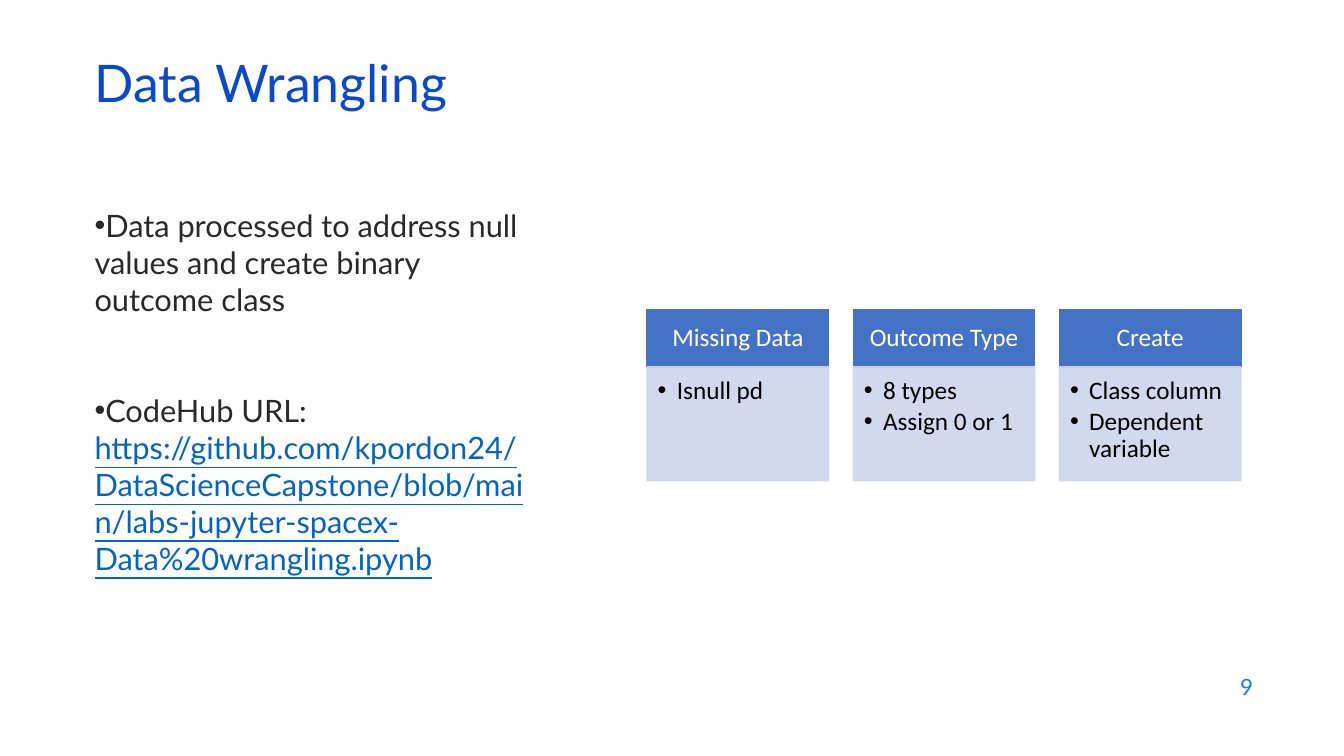
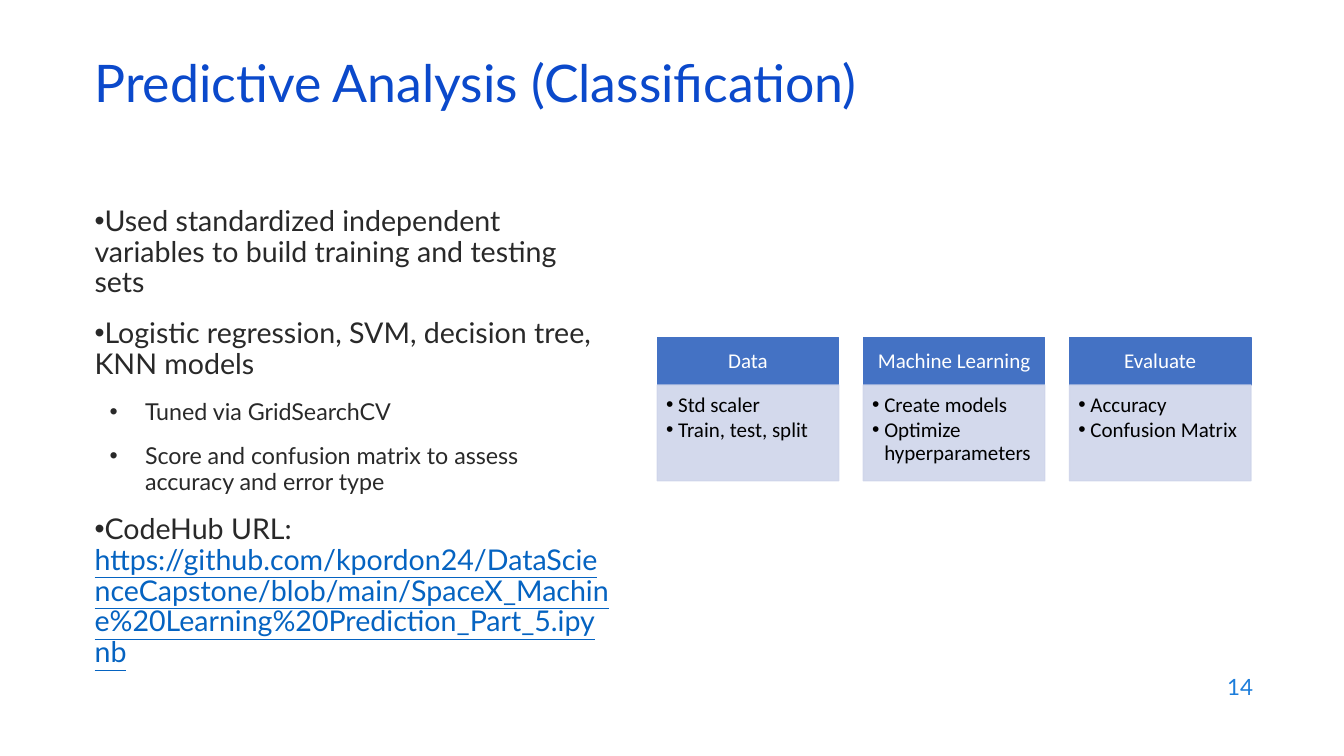
from dataclasses import dataclass

from lxml import etree
from pptx import Presentation
from pptx import util as u
from pptx.dml.color import RGBColor
from pptx.enum import shapes, text
from pptx.oxml.ns import qn


@dataclass(frozen=True)
class Theme:
    """Colours, fonts, type sizes and the grid of the deck."""
    width: float = 13.33
    height: float = 7.5
    columns: int = 80
    rows: int = 45
    prose_font: str = "Lato"
    card_font: str = "Calibri"
    bullet_font: str = "Arial"
    title: str = "0B49CB"
    prose: str = "292929"
    link: str = "0563C1"
    number: str = "1C7DDB"
    header: str = "4472C4"
    header_text: str = "FFFFFF"
    panel: str = "CFD5EA"
    panel_text: str = "000000"
    panel_opacity: int = 90
    title_size: float = 37
    number_size: float = 16
    header_padding: tuple = (0.56, 0.32, 0.56, 0.32)
    panel_padding: tuple = (0.42, 0.42, 0.56, 0.64)


class Deck:
    """Holds the style and the current slide, and draws each kind of element."""

    def __init__(self, theme):
        """Start an empty presentation in the given theme."""
        self.theme = theme
        self.show = Presentation()
        self.show.slide_width = u.Inches(theme.width)
        self.show.slide_height = u.Inches(theme.height)
        self.slide = None

    def place(self, column, row, wide, high):
        """Turn grid columns and rows into slide lengths."""
        across = self.show.slide_width / self.theme.columns
        down = self.show.slide_height / self.theme.rows
        return [round(n) for n in (column * across, row * down, wide * across, high * down)]

    def page(self, title, number):
        """Add a slide with its title and page number."""
        t = self.theme
        self.slide = self.show.slides.add_slide(self.show.slide_layouts[6])
        heading = self.box((5.04, 3.54, 69, 3.6), text.MSO_ANCHOR.MIDDLE)
        self.line(heading, [(title, t.title)], t.title_size, spacing=0.7)
        corner = self.box((57.18, 39.54, 18, 2.64), text.MSO_ANCHOR.MIDDLE)
        self.line(corner, [(str(number), t.number)], t.number_size, align=text.PP_ALIGN.RIGHT)

    def box(self, area, anchor=text.MSO_ANCHOR.TOP):
        """Add a wrapping text box and return its text frame."""
        frame = self.slide.shapes.add_textbox(*self.place(*area)).text_frame
        frame.word_wrap = True
        frame.vertical_anchor = anchor
        return frame

    def line(self, frame, runs, size, font=None, spacing=1.0, before=0, after=0,
             align=text.PP_ALIGN.LEFT, bullet=False, margin=0, hang=0):
        """Add one paragraph, run by run; the first has no space before."""
        first = not frame.paragraphs[0].runs
        paragraph = frame.paragraphs[0] if first else frame.add_paragraph()
        paragraph.alignment = align
        paragraph.line_spacing = spacing
        paragraph.space_before = u.Pt(0 if first else before)
        paragraph.space_after = u.Pt(after)
        if bullet:
            self.bullet(paragraph, margin, hang)
        for words, colour in runs:
            run = paragraph.add_run()
            run.text = words
            run.font.size = u.Pt(size)
            run.font.name = font or self.theme.prose_font
            run.font.color.rgb = RGBColor.from_string(colour)
            if colour == self.theme.link:
                run.font.underline = True

    def bullet(self, paragraph, margin, hang):
        """Give a paragraph a round bullet with a hanging indent in inches."""
        properties = paragraph._p.get_or_add_pPr()
        properties.set("marL", str(u.Inches(margin)))
        properties.set("indent", str(-u.Inches(hang)))
        etree.SubElement(properties, qn("a:buFont"), typeface=self.theme.bullet_font)
        etree.SubElement(properties, qn("a:buChar"), char="•")

    def prose(self, wide, entries, sizes, spacing, before):
        """Set the bulleted body text; each entry is a level and its runs."""
        frame = self.box((5.04, 12, wide, 28.56))
        indents = [(0, 0), (0.5, 0.35)]
        for level, runs in entries:
            margin, hang = indents[level]
            self.line(frame, runs, sizes[level], spacing=spacing, before=before,
                      bullet=True, margin=margin, hang=hang)

    def panel(self, area, colour, padding, size, anchor, opacity=100):
        """Add a filled rectangle, padded in ems, and return its text frame."""
        block = self.slide.shapes.add_shape(shapes.MSO_SHAPE.RECTANGLE, *self.place(*area))
        block.shadow.inherit = False
        block.line.width = u.Pt(1)
        for fill in (block.fill, block.line.fill):
            fill.solid()
            fill.fore_color.rgb = RGBColor.from_string(colour)
        if opacity < 100:
            for shade in block._element.spPr.iter(qn("a:srgbClr")):
                etree.SubElement(shade, qn("a:alpha"), val=str(opacity * 1000))
        frame = block.text_frame
        frame.word_wrap = True
        frame.vertical_anchor = anchor
        (frame.margin_left, frame.margin_top,
         frame.margin_right, frame.margin_bottom) = [u.Pt(size * em) for em in padding]
        return frame

    def cards(self, left, top, heights, size, hang, steps):
        """Draw a row of equal cards, each a header above a bulleted panel."""
        t = self.theme
        wide, pitch = 10.8, 12.27
        header_high, panel_high = heights
        for index, (header, points) in enumerate(steps):
            column = left + index * pitch
            head = self.panel((column, top, wide, header_high), t.header,
                              t.header_padding, size, text.MSO_ANCHOR.MIDDLE)
            self.line(head, [(header, t.header_text)], size, t.card_font, 0.9,
                      align=text.PP_ALIGN.CENTER)
            detail = self.panel((column, top + header_high, wide, panel_high), t.panel,
                                t.panel_padding, size, text.MSO_ANCHOR.TOP, t.panel_opacity)
            for point in points:
                self.line(detail, [(point, t.panel_text)], size, t.card_font, 0.9,
                          after=size * 0.15, bullet=True, margin=hang, hang=hang)


def main():
    """Build the two slides and save them."""
    theme = Theme()
    deck = Deck(theme)
    repository = "https://github.com/kpordon24/DataScienceCapstone/blob/main/"

    def plain(words, level=0):
        """Return an entry of plain body text."""
        return level, [(words, theme.prose)]

    def notebook(name):
        """Return the entry that gives a notebook's address."""
        return 0, [("CodeHub URL: ", theme.prose), (repository + name, theme.link)]

    deck.page("Data Wrangling", 9)
    deck.prose(27.12, [
        plain("Data processed to address null values and create binary outcome class"),
        notebook("labs-jupyter-spacex-Data%20wrangling.ipynb"),
    ], sizes=(22,), spacing=1.0, before=53)
    deck.cards(38.52, 18.42, (3.42, 6.78), 18, 0.19, [
        ("Missing Data", ["Isnull pd"]),
        ("Outcome Type", ["8 types", "Assign 0 or 1"]),
        ("Create", ["Class column", "Dependent variable"]),
    ])

    deck.page("Predictive Analysis (Classification)", 14)
    deck.prose(31.8, [
        plain("Used standardized independent variables to build training and testing sets"),
        plain("Logistic regression, SVM, decision tree, KNN models"),
        plain("Tuned via GridSearchCV", 1),
        plain("Score and confusion matrix to assess accuracy and error type", 1),
        notebook("SpaceX_Machine%20Learning%20Prediction_Part_5.ipynb"),
    ], sizes=(20.4, 16.6), spacing=0.9, before=14)
    deck.cards(39.12, 20.1, (2.82, 5.7), 15, 0.12, [
        ("Data", ["Std scaler", "Train, test, split"]),
        ("Machine Learning", ["Create models", "Optimize hyperparameters"]),
        ("Evaluate", ["Accuracy", "Confusion Matrix"]),
    ])

    deck.show.save("out.pptx")


if __name__ == "__main__":
    main()
